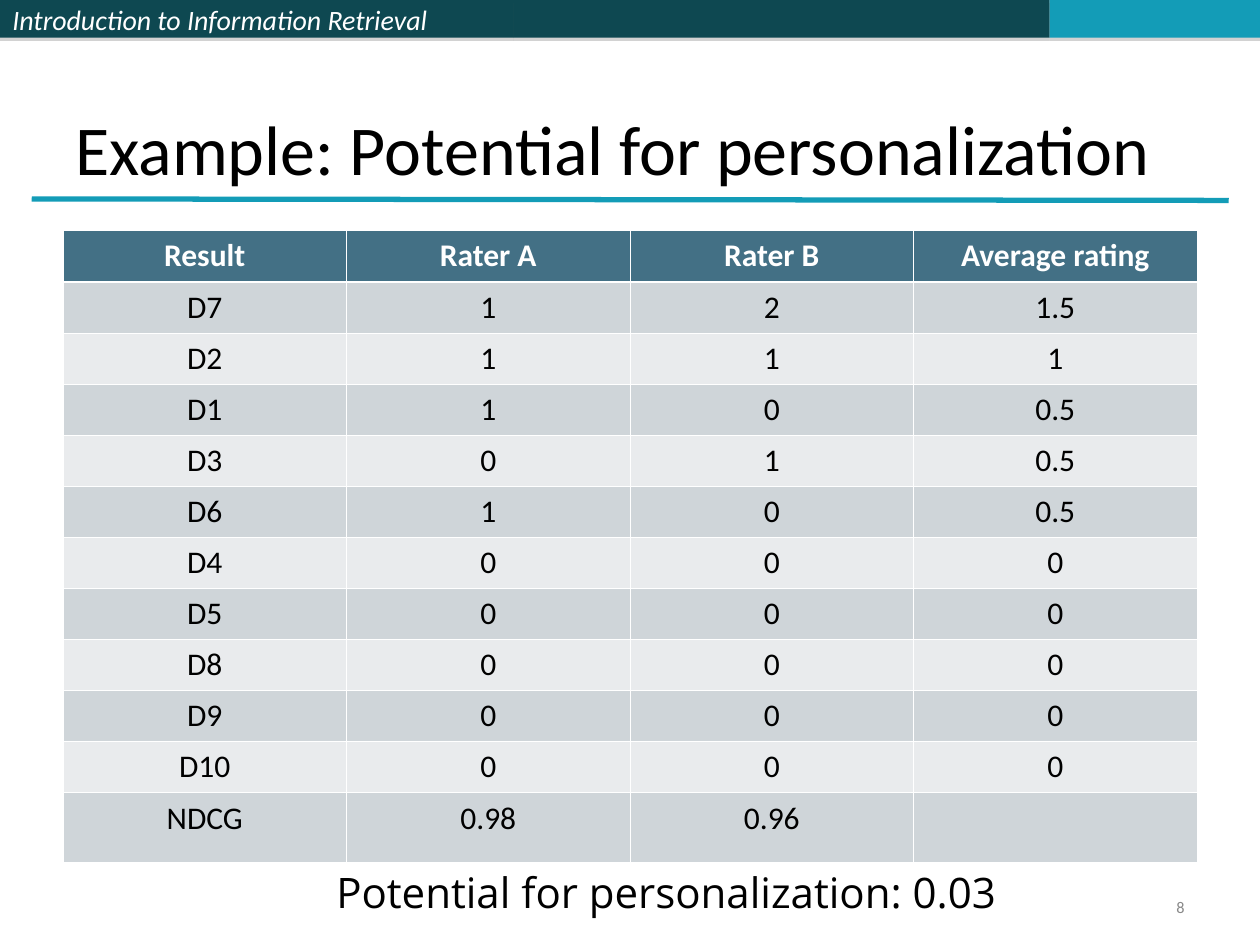
"""Build the slide on potential for personalization, with its table of ratings."""
from dataclasses import dataclass
from typing import Any

from lxml.etree import SubElement
from pptx import Presentation
from pptx.dml.color import RGBColor
from pptx.enum.shapes import MSO_CONNECTOR, MSO_SHAPE
from pptx.enum.text import MSO_ANCHOR, MSO_AUTO_SIZE, PP_ALIGN
from pptx.oxml.ns import qn
from pptx.util import Cm, Pt


@dataclass(frozen=True)
class Theme:
    """Colours, fonts and type sizes of the deck."""
    dark: str = "0E4851"
    accent: str = "139CB7"
    heading: str = "437085"
    bands: tuple[str, str] = ("CFD5D9", "E9EBED")
    white: str = "FFFFFF"
    black: str = "000000"
    grey: str = "898989"
    shadow: str = "808080"
    font: str = "Calibri"
    caption_font: str = "Open Sans"
    title_size: float = 40
    caption_size: float = 24
    table_size: float = 18
    header_size: float = 16
    number_size: float = 9.3


@dataclass(frozen=True)
class Bar:
    """One coloured part of the top band, measured in centimetres."""
    width: float
    color: str
    text: str = ""


@dataclass(frozen=True)
class Label:
    """A text box measured in centimetres, with its formats."""
    text: str
    area: tuple[float, float, float, float]
    span_format: dict[str, Any]
    para_format: dict[str, Any]
    frame_format: dict[str, Any]


THEME = Theme()
BAR_HEIGHT = 0.76
COLUMN_WIDTH = 5.715
ROW_HEIGHT = 1.03
LAST_ROW_HEIGHT = 1.41
THIN, THICK = 0.45, 1.47

BARS = [
    Bar(10.36, THEME.dark, "Introduction to Information Retrieval"),
    Bar(10.8, THEME.dark),
    Bar(4.24, THEME.accent),
]

RATINGS = [
    ("Result", "Rater A", "Rater B", "Average rating"),
    ("D7", "1", "2", "1.5"),
    ("D2", "1", "1", "1"),
    ("D1", "1", "0", "0.5"),
    ("D3", "0", "1", "0.5"),
    ("D6", "1", "0", "0.5"),
    *((name, "0", "0", "0") for name in ("D4", "D5", "D8", "D9", "D10")),
    ("NDCG", "0.98", "0.96", ""),
]

LABELS = [
    Label("Example: Potential for personalization", (1.27, 0.76, 22.86, 3.18),
          {"size": Pt(THEME.title_size), "name": THEME.font, "color": THEME.black},
          {"alignment": PP_ALIGN.LEFT},
          {"word_wrap": True, "vertical_anchor": MSO_ANCHOR.BOTTOM}),
    Label("8", (18.21, 17.98, 5.92, 0.69),
          {"size": Pt(THEME.number_size), "name": THEME.font, "color": THEME.grey},
          {"alignment": PP_ALIGN.RIGHT, "line_spacing": 0.8},
          {"word_wrap": True, "vertical_anchor": MSO_ANCHOR.MIDDLE}),
    Label("Potential for personalization: 0.03", (6.53, 17.35, 13.89, 1.27),
          {"size": Pt(THEME.caption_size), "name": THEME.caption_font, "color": THEME.black},
          {"alignment": PP_ALIGN.LEFT},
          {"word_wrap": False, "auto_size": MSO_AUTO_SIZE.SHAPE_TO_FIT_TEXT}),
]


def apply_format(target: Any, values: dict[str, Any]) -> None:
    """Set each named attribute, taking a colour as a hex string."""
    for name, value in values.items():
        if name == "color":
            target.color.rgb = RGBColor.from_string(value)
        else:
            setattr(target, name, value)


def write(frame: Any, text: str, span_format: dict[str, Any], para_format: dict[str, Any]) -> None:
    """Put one formatted paragraph into a text frame."""
    para = frame.paragraphs[0]
    apply_format(para, para_format)
    if text:
        span = para.add_run()
        span.text = text
        apply_format(span.font, span_format)
    else:
        apply_format(para.font, span_format)


def paint(target: Any, color: str) -> None:
    """Fill a shape or a cell with one colour."""
    target.fill.solid()
    target.fill.fore_color.rgb = RGBColor.from_string(color)


def add_shadow(shape: Any) -> None:
    """Give a shape a sharp, faint shadow just below it."""
    shape.shadow.inherit = False
    effects = shape._element.spPr.find(qn("a:effectLst"))
    shadow = SubElement(effects, qn("a:outerShdw"), blurRad="0", dist=str(Pt(1.8)),
                        dir="5400000", rotWithShape="0")
    color = SubElement(shadow, qn("a:srgbClr"), val=THEME.shadow)
    SubElement(color, qn("a:alpha"), val="35000")


def add_top_band(page: Any, bars: list[Bar]) -> None:
    """Set the bars side by side along the top edge."""
    left = 0.0
    for bar in bars:
        shape = page.shapes.add_shape(MSO_SHAPE.RECTANGLE, Cm(left), Cm(0),
                                      Cm(bar.width), Cm(BAR_HEIGHT))
        paint(shape, bar.color)
        shape.line.fill.background()
        add_shadow(shape)
        if bar.text:
            shape.text_frame.vertical_anchor = MSO_ANCHOR.MIDDLE
            write(shape.text_frame, bar.text,
                  {"size": Pt(THEME.header_size), "name": THEME.font,
                   "italic": True, "color": THEME.white},
                  {"alignment": PP_ALIGN.LEFT})
        left += bar.width


def add_title_rule(page: Any) -> None:
    """Draw the line under the title."""
    rule = page.shapes.add_connector(MSO_CONNECTOR.STRAIGHT, Cm(0.64), Cm(4.01),
                                     Cm(24.77), Cm(4.04))
    apply_format(rule.line, {"color": THEME.accent, "width": Pt(3)})
    SubElement(rule._element.spPr, qn("a:effectLst"))


def add_label(page: Any, label: Label) -> None:
    """Add one text box."""
    box = page.shapes.add_textbox(*(Cm(length) for length in label.area))
    apply_format(box.text_frame, label.frame_format)
    write(box.text_frame, label.text, label.span_format, label.para_format)


def set_borders(cell: Any, widths: dict[str, float]) -> None:
    """Draw white borders of the given widths in points."""
    properties = cell._tc.get_or_add_tcPr()
    for side, width in widths.items():
        line = SubElement(properties, qn(f"a:ln{side}"), w=str(Pt(width)))
        fill = SubElement(line, qn("a:solidFill"))
        SubElement(fill, qn("a:srgbClr"), val=THEME.white)


def add_ratings(page: Any, rows: list[tuple[str, ...]]) -> None:
    """Add the table with a heading row and banded body rows."""
    columns = len(rows[0])
    heights = [ROW_HEIGHT] * (len(rows) - 1) + [LAST_ROW_HEIGHT]
    table = page.shapes.add_table(len(rows), columns, Cm(1.27), Cm(4.65),
                                  Cm(COLUMN_WIDTH * columns), Cm(sum(heights))).table
    for index, (values, height) in enumerate(zip(rows, heights)):
        table.rows[index].height = Cm(height)
        heading = index == 0
        span_format = {"size": Pt(THEME.table_size), "name": THEME.font, "bold": heading,
                       "color": THEME.white if heading else THEME.black}
        borders = {"L": THIN, "R": THIN, "T": THICK if index == 1 else THIN,
                   "B": THICK if heading else THIN}
        for column, value in enumerate(values):
            cell = table.cell(index, column)
            set_borders(cell, borders)
            paint(cell, THEME.heading if heading else THEME.bands[(index - 1) % 2])
            write(cell.text_frame, value, span_format, {"alignment": PP_ALIGN.CENTER})


def main() -> None:
    """Build and save the deck."""
    deck = Presentation()
    apply_format(deck, {"slide_width": Cm(25.4), "slide_height": Cm(19.05)})
    page = deck.slides.add_slide(deck.slide_layouts[6])
    add_top_band(page, BARS)
    add_title_rule(page)
    add_ratings(page, RATINGS)
    for label in LABELS:
        add_label(page, label)
    deck.save("out.pptx")


if __name__ == "__main__":
    main()
